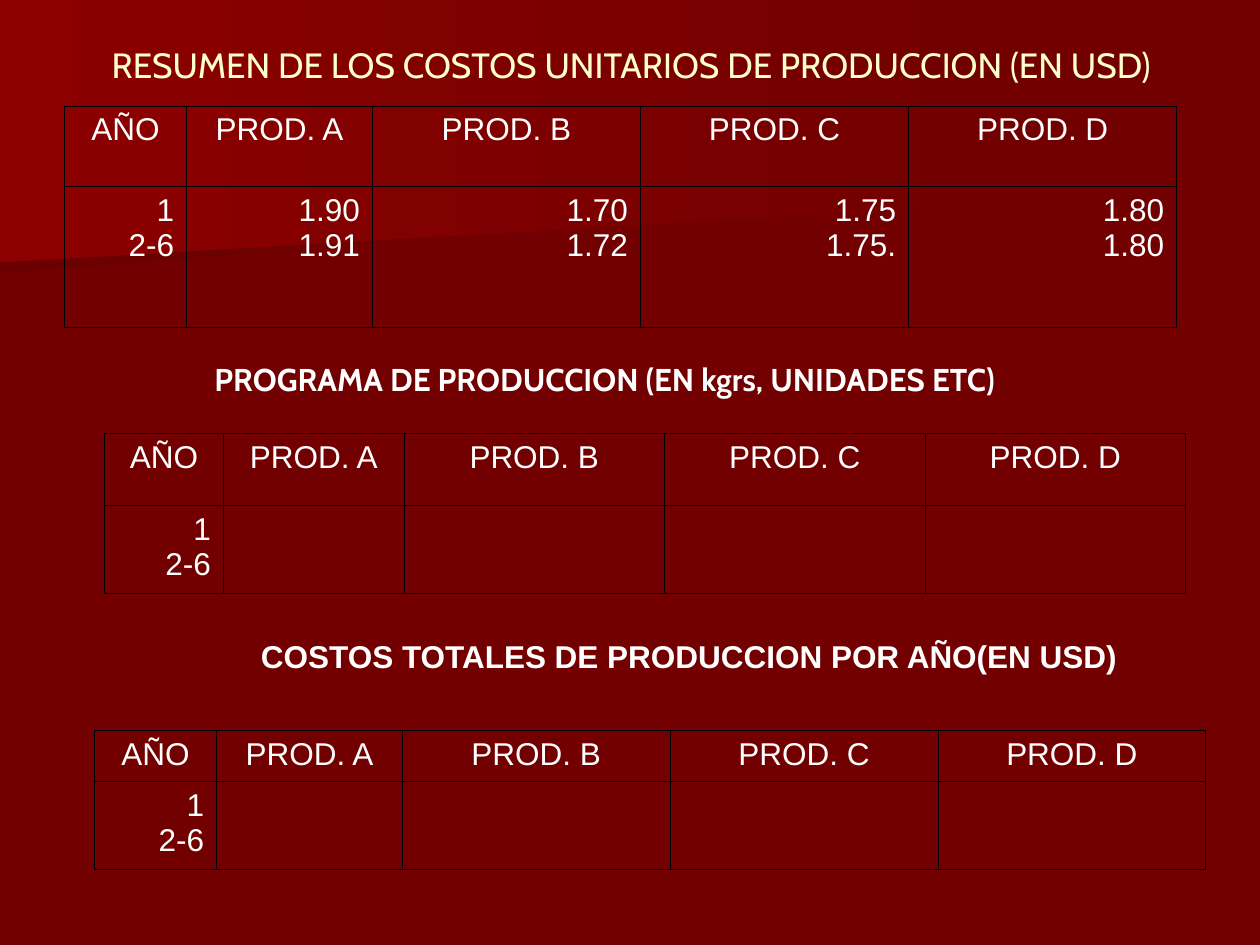
from dataclasses import dataclass

from lxml import etree
from pptx import Presentation
from pptx.dml.color import RGBColor
from pptx.enum.text import MSO_ANCHOR, PP_ALIGN
from pptx.oxml.ns import qn
from pptx.util import Inches, Pt

CENTER, RIGHT = PP_ALIGN.CENTER, PP_ALIGN.RIGHT
MIDDLE = MSO_ANCHOR.MIDDLE
COLS, ROWS = 100, 75  # slide grid
SLIDE_W, SLIDE_H = Inches(10), Inches(7.5)
TITLE_ONLY = 5


@dataclass(frozen=True)
class Theme:
    back: str = "720000"
    shade: str = "6A0000"
    glow: str = "8C0000"
    title: str = "FFFFCC"
    text: str = "FFFFFF"
    border: str = "000000"
    border_pt: float = 0.45
    title_pt: int = 20
    body_pt: int = 18
    display_font: str = "Cabin"
    body_font: str = "Arial"


THEME = Theme()
COLUMN_SHARES = (0.11, 0.167, 0.241, 0.241, 0.241)
HEADERS = ("AÑO", "PROD. A", "PROD. B", "PROD. C", "PROD. D")
YEARS = "1\n2-6"
UNIT_COSTS = ("1.90\n1.91", "1.70\n1.72", "1.75\n1.75.", "1.80\n1.80")
NO_VALUES = ("",) * 4


def col(n):
    return round(SLIDE_W * n / COLS)


def row(n):
    return round(SLIDE_H * n / ROWS)


def rgb(value):
    return RGBColor.from_string(value)


def write(tf, text, align, font=THEME.body_font, size=THEME.body_pt,
          color=THEME.text, bold=False):
    tf.text = text
    for p in tf.paragraphs:
        p.alignment = align
        p.font.size = Pt(size)
        for r in p.runs:
            r.font.name = font
            r.font.size = Pt(size)
            r.font.bold = bold
            r.font.color.rgb = rgb(color)


def add_band(s, points, right_color, left_color):
    """Background shape fading from right to left."""
    corners = [(col(x), row(y)) for x, y in points]
    builder = s.shapes.build_freeform(*corners[0])
    builder.add_line_segments(corners[1:], close=True)
    sp = builder.convert_to_shape()
    sp.shadow.inherit = False
    sp.line.fill.background()
    sp.fill.gradient()
    sp.fill.gradient_angle = 180
    for stop, color in zip(sp.fill.gradient_stops, (right_color, left_color)):
        stop.color.rgb = rgb(color)


def place_title(s, text):
    title = s.shapes.title
    s.shapes.element.append(title.element)  # in front of the bands
    title.left, title.top = col(5.1), row(2.8)
    title.width, title.height = col(90), row(4.7)
    tf = title.text_frame
    tf.vertical_anchor = MIDDLE
    write(tf, text, CENTER, THEME.display_font, THEME.title_pt, THEME.title)


def add_heading(s, text, left, top, font):
    tf = s.shapes.add_textbox(col(left), row(top), col(90.6), row(4)).text_frame
    tf.word_wrap = True
    write(tf, text, CENTER, font, bold=True)


def set_borders(cell):
    tc_pr = cell._tc.get_or_add_tcPr()
    for i, side in enumerate(("a:lnL", "a:lnR", "a:lnT", "a:lnB")):
        ln = etree.Element(qn(side), w=str(Pt(THEME.border_pt)))
        fill = etree.SubElement(ln, qn("a:solidFill"))
        etree.SubElement(fill, qn("a:srgbClr"), val=THEME.border)
        tc_pr.insert(i, ln)


def add_year_table(s, left, top, width, heights, values):
    table = s.shapes.add_table(2, len(HEADERS), col(left), row(top),
                               col(width), row(sum(heights))).table
    table.first_row = table.horz_banding = False
    for column, share in zip(table.columns, COLUMN_SHARES):
        column.width = col(width * share)
    for i, texts in enumerate((HEADERS, (YEARS, *values))):
        table.rows[i].height = row(heights[i])
        for j, text in enumerate(texts):
            cell = table.cell(i, j)
            cell.fill.background()
            set_borders(cell)
            write(cell.text_frame, text, RIGHT if i else CENTER)


def main():
    prs = Presentation()
    prs.slide_width, prs.slide_height = SLIDE_W, SLIDE_H
    s = prs.slides.add_slide(prs.slide_layouts[TITLE_ONLY])

    # Background
    s.background.fill.solid()
    s.background.fill.fore_color.rgb = rgb(THEME.back)
    add_band(s, [(77.8, 15.3), (0, 21.7), (0, 10.1), (77.9, 10.1)],
             THEME.back, THEME.shade)
    add_band(s, [(79.2, 16.2), (0, 20.8), (0, 0), (79.2, 0)],
             THEME.back, THEME.glow)

    # Unit costs
    place_title(s, "RESUMEN DE LOS COSTOS UNITARIOS DE PRODUCCION (EN USD)")
    add_year_table(s, 5.1, 8.4, 88.3, (6.4, 11.2), UNIT_COSTS)

    # Production programme
    add_heading(s, "PROGRAMA DE PRODUCCION (EN kgrs, UNIDADES ETC)",
                2.7, 28.1, THEME.display_font)
    add_year_table(s, 8.3, 34.4, 85.8, (5.7, 7), NO_VALUES)

    # Total costs
    add_heading(s, "COSTOS TOTALES DE PRODUCCION POR AÑO(EN USD)",
                9.4, 50.1, THEME.body_font)
    add_year_table(s, 7.5, 58, 88.2, (4, 7), NO_VALUES)

    prs.save("out.pptx")


if __name__ == "__main__":
    main()
